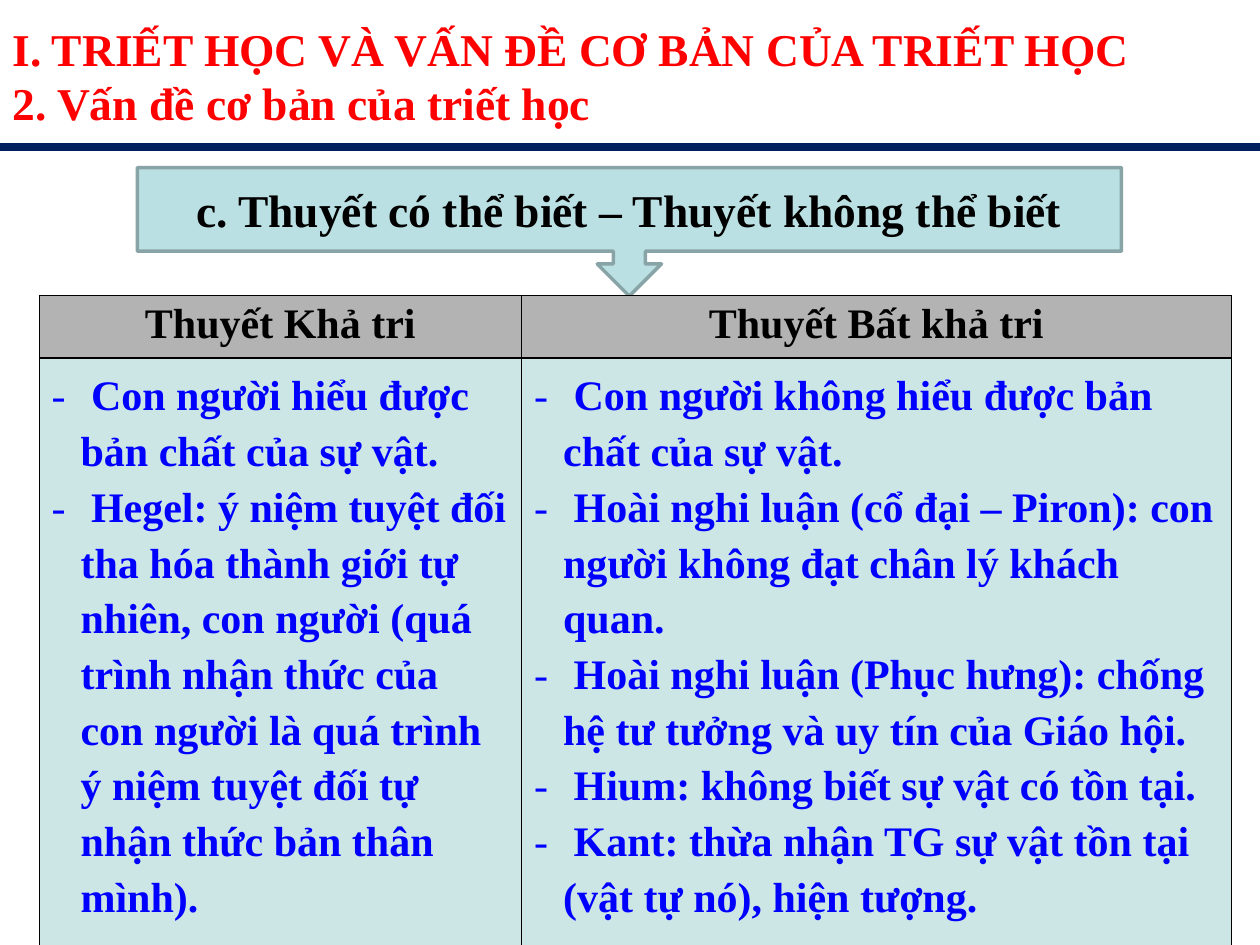
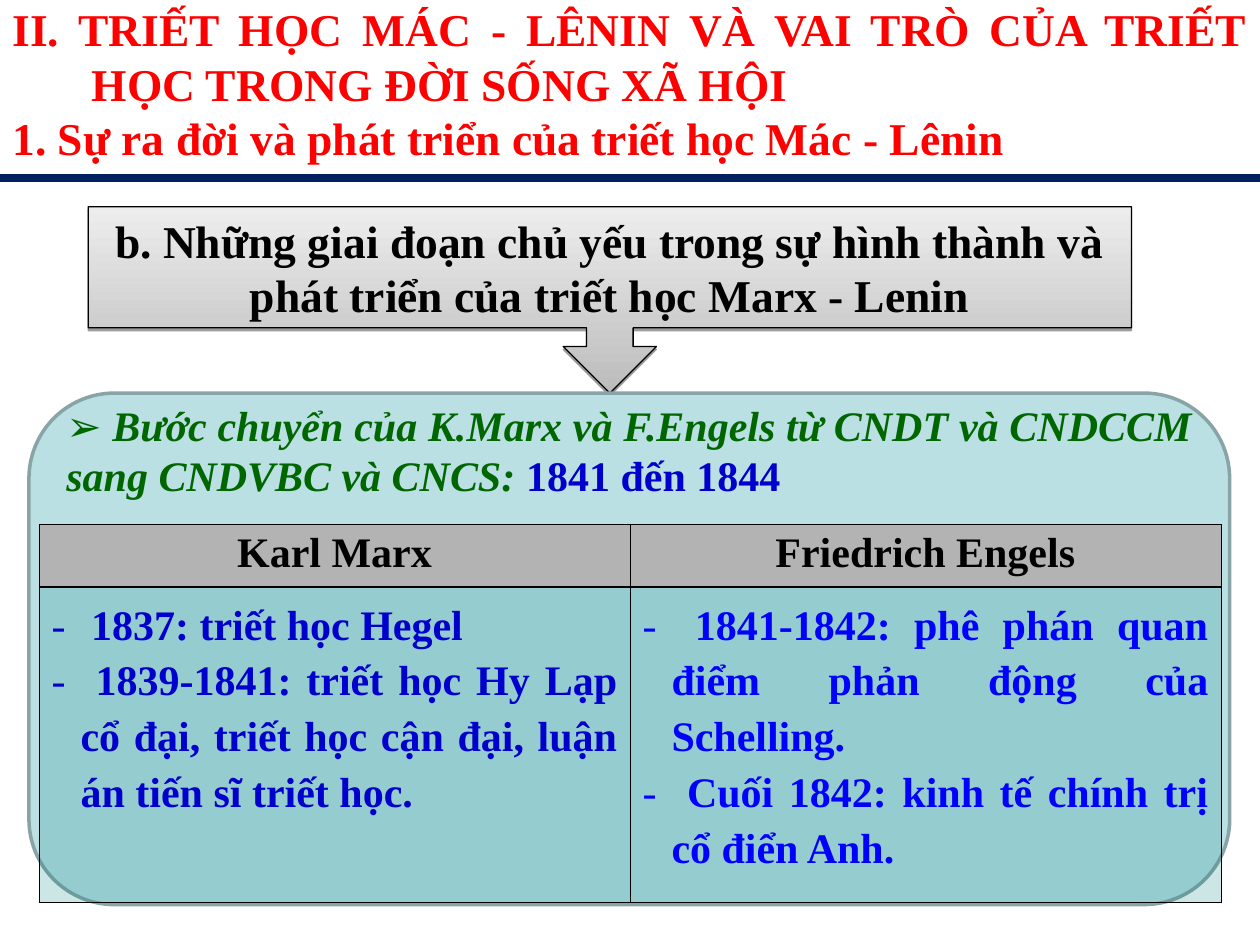
from lxml.etree import SubElement
from pptx import Presentation
from pptx.dml.color import RGBColor as Color
from pptx.enum.shapes import MSO_CONNECTOR as Connector, MSO_SHAPE as Shape
from pptx.enum.text import MSO_ANCHOR as Anchor, MSO_AUTO_SIZE as AutoSize, PP_ALIGN as Align
from pptx.oxml.ns import qn
from pptx.util import Emu, Pt

PX = 9144
PAGE_WIDTH, PAGE_HEIGHT = 1000, 750
INSET_X, INSET_Y = 10, 5
TITLE_INDENT, BULLET_INDENT = 63, 23
HEADER_HEIGHT = 50

RED = Color(0xFF, 0x00, 0x00)
NAVY = Color(0x00, 0x20, 0x60)
BLACK = Color(0x00, 0x00, 0x00)
BLUE = Color(0x00, 0x00, 0xFF)
DARK_BLUE = Color(0x00, 0x00, 0xCC)
GREEN = Color(0x00, 0x66, 0x00)
TEAL = Color(0x00, 0x80, 0x80)
PALE_TEAL = Color(0xBB, 0xE0, 0xE3)
EDGE_TEAL = Color(0x89, 0xA4, 0xA7)
HEADER_GRAY = Color(0xB3, 0xB3, 0xB3)
DEEP_GRAY = Color(0xBC, 0xBC, 0xBC)
LIGHT_GRAY = Color(0xED, 0xED, 0xED)

SERIF = "Times New Roman"
TITLE = {"name": SERIF, "size": Pt(26), "bold": True}
BODY = {"name": SERIF, "size": Pt(24), "bold": True}


def px(*lengths):
    return [Emu(length * PX) for length in lengths]


def add_element(parent, tag, **values):
    element = SubElement(parent, qn(tag))
    for name, value in values.items():
        element.set(name, str(value))
    return element


def add_span(para, text, color, style):
    span = para.add_run()
    span.text = text
    for name, value in style.items():
        setattr(span.font, name, value)
    span.font.color.rgb = color


def add_para(frame, position):
    return frame.paragraphs[0] if position == 0 else frame.add_paragraph()


def set_insets(frame, bottom=INSET_Y):
    frame.word_wrap = True
    frame.margin_left, frame.margin_right = px(INSET_X, INSET_X)
    frame.margin_top, frame.margin_bottom = px(INSET_Y, bottom)


def set_hanging(para, indent):
    properties = para._p.get_or_add_pPr()
    properties.set("marL", str(indent * PX))
    properties.set("indent", str(-indent * PX))
    return properties


def add_title(page, top, height, lines, first_spacing=None):
    box = page.shapes.add_textbox(*px(0, top, PAGE_WIDTH, height))
    frame = box.text_frame
    set_insets(frame)
    frame.auto_size = AutoSize.SHAPE_TO_FIT_TEXT
    for position, line in enumerate(lines):
        para = add_para(frame, position)
        para.alignment = Align.JUSTIFY
        set_hanging(para, TITLE_INDENT)
        add_span(para, line, RED, TITLE)
    if first_spacing:
        frame.paragraphs[0].line_spacing = first_spacing


def add_rule(page, top):
    rule = page.shapes.add_connector(Connector.STRAIGHT, *px(0, top, PAGE_WIDTH, top))
    rule.line.color.rgb = NAVY
    rule.line.width = Pt(4.5)
    add_element(rule._element.spPr, "a:effectLst")


def add_panel(page, kind, bounds, adjustments, edge, edge_width):
    panel = page.shapes.add_shape(kind, *px(*bounds))
    panel.shadow.inherit = False
    for position, value in enumerate(adjustments):
        panel.adjustments[position] = value
    panel.fill.solid()
    panel.fill.fore_color.rgb = PALE_TEAL
    panel.line.color.rgb = edge
    panel.line.width = Pt(edge_width)
    set_insets(panel.text_frame)
    panel.text_frame.vertical_anchor = Anchor.MIDDLE
    return panel


def add_callout(page, bounds, text, edge, edge_width):
    callout = add_panel(page, Shape.DOWN_ARROW_CALLOUT, bounds,
                        (0.25, 0.25, 0.25, 0.65), edge, edge_width)
    para = callout.text_frame.paragraphs[0]
    para.alignment = Align.CENTER
    add_span(para, text, BLACK, TITLE)
    return callout


def shade_gray(callout):
    callout.fill.gradient()
    callout.fill.gradient_angle = 90
    for stop, color in zip(callout.fill.gradient_stops, (DEEP_GRAY, LIGHT_GRAY)):
        stop.color.rgb = color
    effects = callout._element.spPr.find(qn("a:effectLst"))
    shadow = add_element(effects, "a:outerShdw", blurRad=0, dist=Pt(1.6),
                         dir=5400000, rotWithShape=0)
    add_element(add_element(shadow, "a:srgbClr", val=BLACK), "a:alpha", val=38000)


def format_cell(cell, color, widths, opacity=None):
    set_insets(cell)
    properties = cell._tc.get_or_add_tcPr()
    for side, width in zip("LRTB", widths):
        border = add_element(properties, f"a:ln{side}", w=Pt(width))
        add_element(add_element(border, "a:solidFill"), "a:srgbClr", val=BLACK)
    cell.fill.solid()
    cell.fill.fore_color.rgb = color
    if opacity:
        tint = properties.find(qn("a:solidFill")).find(qn("a:srgbClr"))
        add_element(tint, "a:alpha", val=opacity * 1000)


def add_bullets(frame, lines, color, alignment):
    for position, line in enumerate(lines):
        para = add_para(frame, position)
        para.alignment = alignment
        para.line_spacing = 1.2
        properties = set_hanging(para, BULLET_INDENT)
        add_element(add_element(properties, "a:buClr"), "a:srgbClr", val=color)
        add_element(properties, "a:buFont", typeface=SERIF)
        add_element(properties, "a:buChar", char="-")
        add_span(para, " " + line, color, BODY)


def add_comparison(page, left, top, widths, body_height, columns, alignment):
    heights = (HEADER_HEIGHT, body_height)
    frame = page.shapes.add_table(2, len(columns),
                                  *px(left, top, sum(widths), sum(heights)))
    table = frame.table
    table.first_row = table.horz_banding = False
    for row, height in zip(table.rows, px(*heights)):
        row.height = height
    for position, (heading, color, lines) in enumerate(columns):
        table.columns[position].width = px(widths[position])[0]
        header, body = table.cell(0, position), table.cell(1, position)
        format_cell(header, HEADER_GRAY, (0.45, 0.45, 0.45, 0.96))
        format_cell(body, TEAL, (0.45, 0.45, 0.96, 0.45), opacity=20)
        para = header.text_frame.paragraphs[0]
        para.alignment = Align.CENTER
        add_span(para, heading, BLACK, BODY)
        add_bullets(body.text_frame, lines, color, alignment)


def build_knowability(page):
    add_title(page, 3, 106, (
        "I. TRIẾT HỌC VÀ VẤN ĐỀ CƠ BẢN CỦA TRIẾT HỌC",
        "2. Vấn đề cơ bản của triết học"), first_spacing=1.2)
    add_rule(page, 117)
    add_callout(page, (109, 133, 781, 102),
                "c. Thuyết có thể biết – Thuyết không thể biết", EDGE_TEAL, 2)
    add_comparison(page, 31, 234, (383, 563), 466, (
        ("Thuyết Khả tri", BLUE, (
            "Con người hiểu được bản chất của sự vật.",
            "Hegel: ý niệm tuyệt đối tha hóa thành giới tự nhiên, con người "
            "(quá trình nhận thức của con người là quá trình ý niệm tuyệt đối "
            "tự nhận thức bản thân mình).")),
        ("Thuyết Bất khả tri", BLUE, (
            "Con người không hiểu được bản chất của sự vật.",
            "Hoài nghi luận (cổ đại – Piron): con người không đạt chân lý khách quan.",
            "Hoài nghi luận (Phục hưng): chống hệ tư tưởng và uy tín của Giáo hội.",
            "Hium: không biết sự vật có tồn tại.",
            "Kant: thừa nhận TG sự vật tồn tại (vật tự nó), hiện tượng."))),
        Align.LEFT)


def add_transition(page):
    panel = add_panel(page, Shape.ROUNDED_RECTANGLE, (23, 312, 953, 406),
                      (0.167,), EDGE_TEAL, 2)
    set_insets(panel.text_frame, bottom=321)
    para = panel.text_frame.paragraphs[0]
    para.alignment = Align.JUSTIFY
    add_span(para, "➢", GREEN, BODY | {"name": "Arial", "italic": True})
    add_span(para, " Bước chuyển của K.Marx và F.Engels từ CNDT và CNDCCM "
             "sang CNDVBC và CNCS:", GREEN, BODY | {"italic": True})
    add_span(para, " 1841 đến 1844", DARK_BLUE, BODY)


def build_formation(page):
    add_title(page, -4, 140, (
        "II. TRIẾT HỌC MÁC - LÊNIN VÀ VAI TRÒ CỦA TRIẾT HỌC TRONG ĐỜI SỐNG XÃ HỘI",
        "1. Sự ra đời và phát triển của triết học Mác - Lênin"))
    add_rule(page, 141)
    shade_gray(add_callout(
        page, (70, 164, 828, 148),
        "b. Những giai đoạn chủ yếu trong sự hình thành và phát triển "
        "của triết học Marx - Lenin", BLACK, 0.75))
    add_transition(page)
    add_comparison(page, 31, 416, (469, 469), 250, (
        ("Karl Marx", DARK_BLUE, (
            "1837: triết học Hegel",
            "1839-1841: triết học Hy Lạp cổ đại, triết học cận đại, "
            "luận án tiến sĩ triết học.")),
        ("Friedrich Engels", BLUE, (
            "1841-1842: phê phán quan điểm phản động của Schelling.",
            "Cuối 1842: kinh tế chính trị cổ điển Anh."))),
        Align.JUSTIFY)


def main():
    deck = Presentation()
    deck.slide_width, deck.slide_height = px(PAGE_WIDTH, PAGE_HEIGHT)
    for build in (build_knowability, build_formation):
        build(deck.slides.add_slide(deck.slide_layouts[6]))
    deck.save("out.pptx")


if __name__ == "__main__":
    main()
